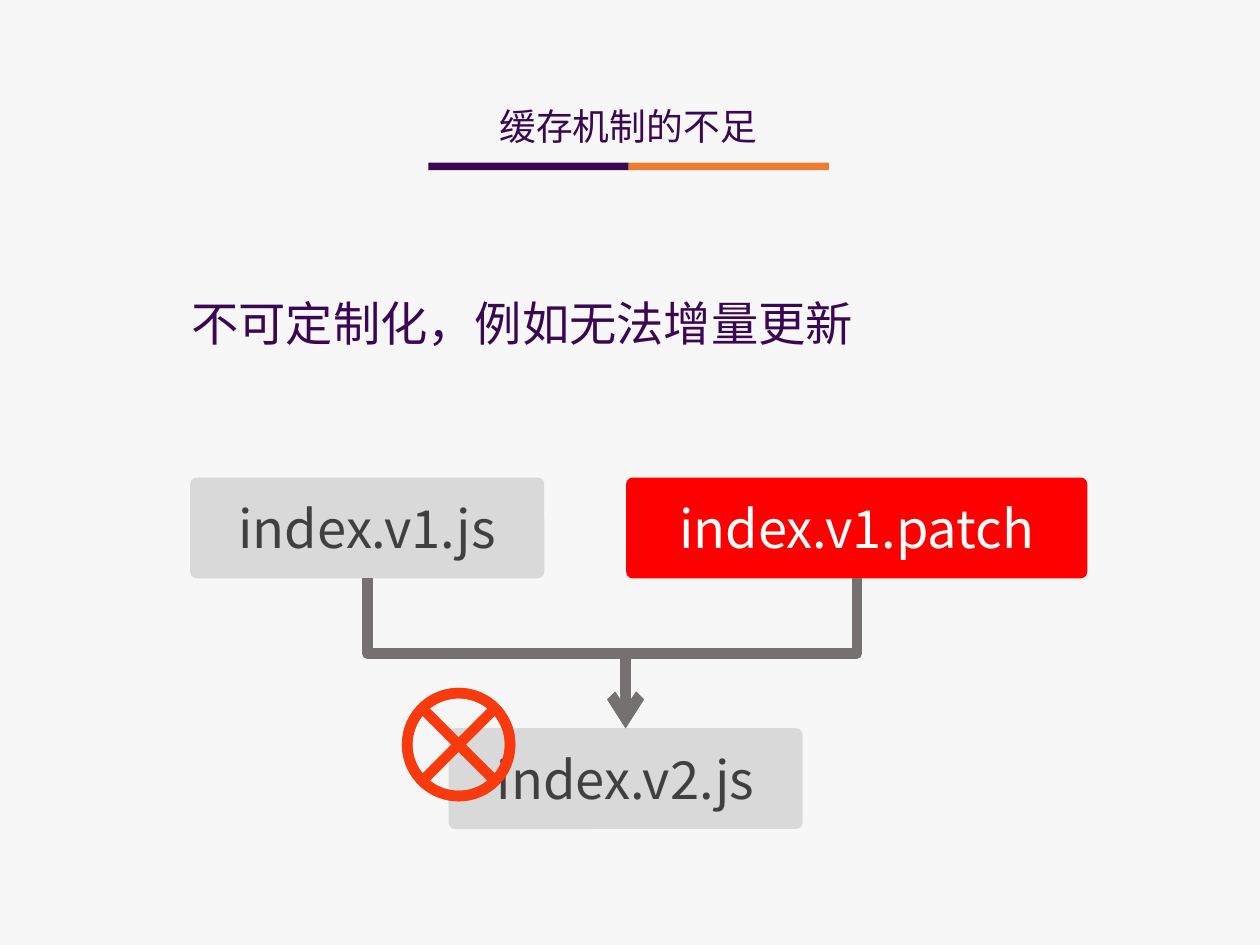
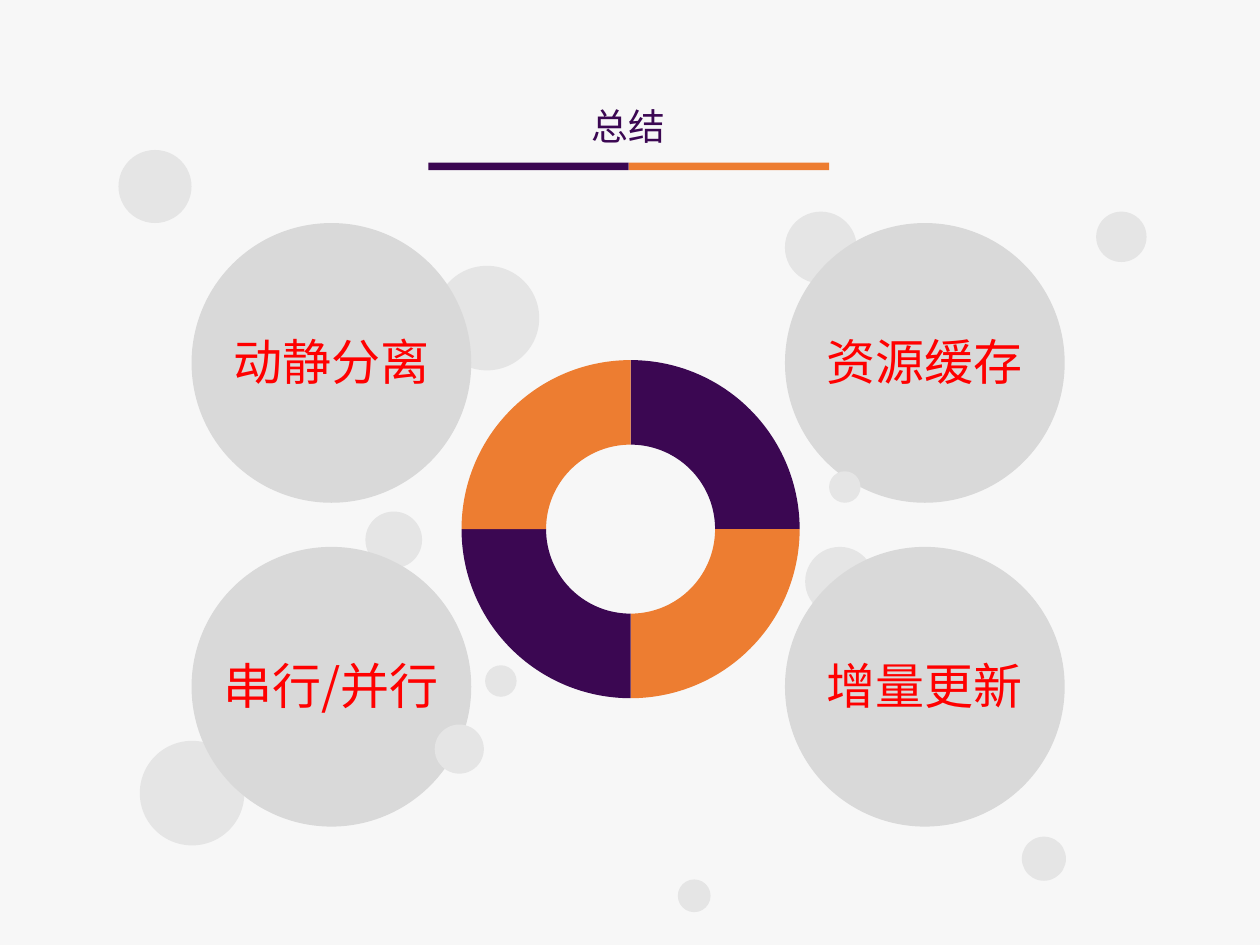
import lxml.etree
import pptx
import pptx.chart.data
import pptx.dml.color
import pptx.enum.chart
import pptx.enum.shapes
import pptx.enum.text
import pptx.oxml.ns
import pptx.util

Inches = pptx.util.Inches
Pt = pptx.util.Pt
SHAPE = pptx.enum.shapes.MSO_SHAPE
ALIGN = pptx.enum.text.PP_ALIGN
ANCHOR = pptx.enum.text.MSO_ANCHOR
AUTO_SIZE = pptx.enum.text.MSO_AUTO_SIZE

FONT = "Noto Sans CJK SC"
PAPER, PURPLE, ORANGE = "F7F7F7", "3B0752", "ED7D31"
GREY, PALE, DARK, LINE = "D9D9D9", "E5E5E5", "404040", "767171"
RED, WARNING, WHITE = "FF0000", "F73B0F", "FFFFFF"

TITLE_BOX = (2.9, 0.77, 4.17, 0.47)
FLOW_BOX = (1.51, 3.79, 7.12, 2.79)
SUMMARY_BOX = (1.52, 1.77, 6.93, 4.79)
RING_BOX = (3.07, 2.72, 3.87, 2.96)

TOPICS = [["动静分离", "资源缓存"], ["串行/并行", "增量更新"]]
BACK_BUBBLES = [(1.11, 5.88, 0.83), (6.23, 1.68, 0.57), (6.39, 4.34, 0.55),
                (2.9, 4.06, 0.45), (3.45, 2.11, 0.83)]
FRONT_BUBBLES = [(3.45, 5.75, 0.39), (3.85, 5.28, 0.25), (6.58, 3.74, 0.25),
                 (8.11, 6.64, 0.35), (0.94, 1.19, 0.58), (8.7, 1.68, 0.4),
                 (5.38, 6.98, 0.26)]


def color(value):
    """Turn a hex string into a colour."""
    return pptx.dml.color.RGBColor.from_string(value)


def inches(box):
    """Turn a sequence of numbers into lengths."""
    return [Inches(value) for value in box]


def set_all(target, formats):
    """Set each attribute named in a dict of format values."""
    for name, value in formats.items():
        setattr(target, name, value)


def write(shape, text, size, text_color, align=ALIGN.CENTER, spacing=None, **frame):
    """Write one styled paragraph into a shape."""
    set_all(shape.text_frame, {"word_wrap": True, **frame})
    paragraph = shape.text_frame.paragraphs[0]
    set_all(paragraph, {"alignment": align, "line_spacing": spacing})
    run = paragraph.add_run()
    run.text = text
    set_all(run.font, {"size": Pt(size), "name": FONT})
    run.font.color.rgb = color(text_color)
    east_asian = lxml.etree.SubElement(run._r.get_or_add_rPr(), pptx.oxml.ns.qn("a:ea"))
    east_asian.set("typeface", FONT)


def add_text(slide, box, text, size, text_color, **formats):
    """Add a text box that grows with its text."""
    shape = slide.shapes.add_textbox(*inches(box))
    write(shape, text, size, text_color, auto_size=AUTO_SIZE.SHAPE_TO_FIT_TEXT, **formats)


def add_block(slide, kind, box, fill, adjustment=None):
    """Add a flat preset shape without outline or shadow."""
    shape = slide.shapes.add_shape(kind, *inches(box))
    shape.shadow.inherit = False
    shape.fill.solid()
    shape.fill.fore_color.rgb = color(fill)
    shape.line.fill.background()
    if adjustment is not None:
        shape.adjustments[0] = adjustment
    return shape


def add_title(slide, box, text):
    """Place the title and its two-colour underline."""
    left, top, width, height = box
    title = slide.shapes.title
    set_all(title, dict(zip(("left", "top", "width", "height"), inches(box))))
    write(title, text, 21, PURPLE, vertical_anchor=ANCHOR.TOP, auto_size=AUTO_SIZE.NONE)
    for index, fill in enumerate((PURPLE, ORANGE)):
        bar = (left + 0.5 + index * 1.59, top + 0.52, 1.59, 0.06)
        add_block(slide, SHAPE.RECTANGLE, bar, fill)


def add_file(slide, box, name, fill, text_color):
    """Add a rounded box that names a file."""
    shape = add_block(slide, SHAPE.ROUNDED_RECTANGLE, box, fill, 0.064)
    write(shape, name, 30, text_color, vertical_anchor=ANCHOR.MIDDLE)


def add_down_arrow(slide, start, end):
    """Join two points by an elbow arrow that leaves and arrives vertically."""
    (start_x, start_y), (end_x, end_y) = start, end
    center_x, center_y = (start_x + end_x) / 2, (start_y + end_y) / 2
    half_drop, half_span = (end_y - start_y) / 2, (start_x - end_x) / 2
    connector = slide.shapes.add_connector(
        pptx.enum.shapes.MSO_CONNECTOR.ELBOW,
        *inches((center_x - half_drop, center_y - half_span,
                 center_x + half_drop, center_y + half_span)))
    connector.line.width = Pt(6)
    connector.line.color.rgb = color(LINE)
    properties = connector._element.spPr
    properties.find(pptx.oxml.ns.qn("a:xfrm")).set("rot", "5400000")
    line = properties.find(pptx.oxml.ns.qn("a:ln"))
    lxml.etree.SubElement(line, pptx.oxml.ns.qn("a:tailEnd")).set("type", "arrow")
    lxml.etree.SubElement(properties, pptx.oxml.ns.qn("a:effectLst"))


def add_update_flow(slide, box):
    """Show two files that merge into a new one, crossed out."""
    left, top, width, height = box
    file_width, patch_width, file_height = 2.81, 3.66, 0.8
    result_left, result_top = left + 2.05, top + height - file_height
    patch_left = left + width - patch_width
    add_file(slide, (result_left, result_top, file_width, file_height),
             "index.v2.js", GREY, DARK)
    add_file(slide, (left, top, file_width, file_height), "index.v1.js", GREY, DARK)
    add_file(slide, (patch_left, top, patch_width, file_height),
             "index.v1.patch", RED, WHITE)
    for rotation in (0, 90):
        ban = (left + 1.68, top + 1.67, 0.9, 0.9)
        add_block(slide, SHAPE.NO_SYMBOL, ban, WARNING, 0.093).rotation = rotation
    for source_x in (left + file_width / 2, patch_left + patch_width / 2):
        add_down_arrow(slide, (source_x, top + file_height),
                       (result_left + file_width / 2, result_top))


def add_ring(slide, box):
    """Add the doughnut chart of four equal parts."""
    data = pptx.chart.data.CategoryChartData()
    data.categories = ["1", "2", "3", "4"]
    data.add_series("Series 1", [25] * 4)
    chart = slide.shapes.add_chart(
        pptx.enum.chart.XL_CHART_TYPE.DOUGHNUT, *inches(box), data).chart
    set_all(chart, {"has_legend": False, "has_title": False})
    set_all(chart.font, {"size": Pt(10), "name": "Calibri"})
    chart.font.color.rgb = color("000000")
    plot = chart.plots[0]
    plot.vary_by_categories = True
    for index in range(4):
        part = plot.series[0].points[index].format
        part.fill.solid()
        part.fill.fore_color.rgb = color((PURPLE, ORANGE)[index % 2])
        part.line.fill.background()
    for hole in chart._chartSpace.iter(pptx.oxml.ns.qn("c:holeSize")):
        hole.set("val", "75")


def add_bubbles(slide, bubbles):
    """Scatter pale decorative circles."""
    for left, top, size in bubbles:
        add_block(slide, SHAPE.OVAL, (left, top, size, size), PALE)


def add_topics(slide, box):
    """Place the topic discs in the corners of a box."""
    left, top, width, height = box
    size = 2.22
    for column in range(2):
        for row in range(2):
            x, y = left + column * (width - size), top + row * (height - size)
            add_block(slide, SHAPE.OVAL, (x, y, size, size), GREY)
            add_text(slide, (x + 0.05, y + 0.81, size - 0.1, 0.6),
                     TOPICS[row][column], 28, RED)


def add_titled_slide(presentation, title):
    """Add a title-only slide with the shared title style."""
    slide = presentation.slides.add_slide(presentation.slide_layouts[5])
    add_title(slide, TITLE_BOX, title)
    return slide


def build_cache_slide(presentation):
    """Build the slide on the limits of caching."""
    slide = add_titled_slide(presentation, "缓存机制的不足")
    add_text(slide, (1.42, 2.36, 5.79, 0.57), "不可定制化，例如无法增量更新",
             27, PURPLE, align=ALIGN.LEFT, spacing=Pt(27))
    add_update_flow(slide, FLOW_BOX)


def build_summary_slide(presentation):
    """Build the summary slide."""
    slide = add_titled_slide(presentation, "总结")
    add_ring(slide, RING_BOX)
    add_bubbles(slide, BACK_BUBBLES)
    add_topics(slide, SUMMARY_BOX)
    add_bubbles(slide, FRONT_BUBBLES)


def main():
    """Build and save the presentation."""
    presentation = pptx.Presentation()
    set_all(presentation, {"slide_width": Inches(10), "slide_height": Inches(7.5)})
    background = presentation.slide_master.background.fill
    background.solid()
    background.fore_color.rgb = color(PAPER)
    build_cache_slide(presentation)
    build_summary_slide(presentation)
    presentation.save("out.pptx")


if __name__ == "__main__":
    main()
